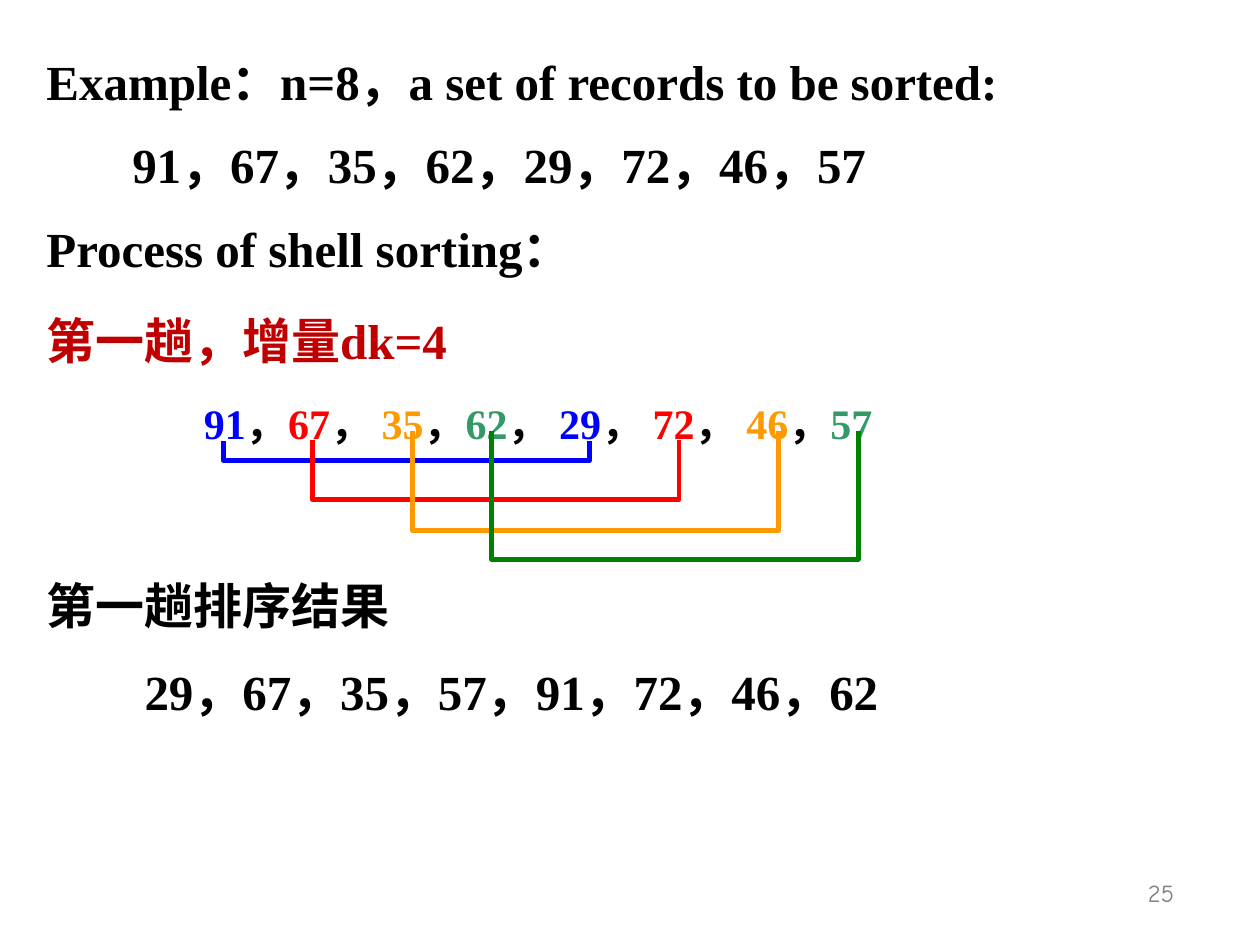
from pptx import Presentation
from pptx.dml.color import RGBColor
from pptx.enum import text
from pptx.util import Pt

COLORS = {
    "black": "000000", "heading": "C00000", "grey": "808080",
    "blue": "0000FF", "red": "FF0000", "orange": "FF9900",
    "teal": "339966", "green": "008000",
}
GROUPS = ["blue", "red", "orange", "teal"]
BODY_FONT = "Times New Roman"


def rgb(name):
    return RGBColor.from_string(COLORS[name])


def add_text_frame(slide, box):
    s = slide.shapes.add_textbox(*(Pt(v) for v in box))
    tf = s.text_frame
    tf.word_wrap = True
    return tf


def add_run(p, words, color="black", size=28, font=BODY_FONT, bold=True):
    r = p.add_run()
    r.text = words
    r.font.size, r.font.name, r.font.bold = Pt(size), font, bold
    r.font.color.rgb = rgb(color)


def add_line(tf, runs, before=14, spacing=1.0, indent=0, size=28):
    """Append one paragraph made of (words, color) runs."""
    p = tf.paragraphs[0]
    if p.runs:
        p = tf.add_paragraph()
        p.space_before = Pt(before)
    p.alignment = text.PP_ALIGN.JUSTIFY
    p.line_spacing = spacing
    if indent:
        p._p.get_or_add_pPr().set("marL", str(Pt(indent)))
    for words, color in runs:
        add_run(p, words, color, size)


def grouped_numbers():
    """Records coloured by their group, with the separators between them."""
    numbers = [91, 67, 35, 62, 29, 72, 46, 57]
    separators = ["，", "， ", "，", "， ", "， ", "， ", "，"]
    runs = []
    for i, number in enumerate(numbers):
        runs.append((str(number), GROUPS[i % len(GROUPS)]))
        if i < len(separators):
            runs.append((separators[i], "black"))
    return runs


def add_body(slide, box):
    tf = add_text_frame(slide, box)
    add_line(tf, [("Example：n=8，a set of records to be sorted:", "black")])
    add_line(tf, [("91，67，35，62，29，72，46，57", "black")], indent=49)
    add_line(tf, [("Process of shell sorting：", "black")])
    add_line(tf, [("第一趟，增量dk=4", "heading")], spacing=1.15)
    add_line(tf, grouped_numbers(), before=12, spacing=1.15, indent=90, size=24)
    add_line(tf, [("第一趟排序结果", "black")], before=68, spacing=1.15)
    add_line(tf, [("29，67，35，57，91，72，46，62", "black")],
             before=10.5, spacing=1.15, indent=56)


def add_bracket(slide, box, color):
    """Draw an open bracket along the left, bottom and right of the box."""
    x, y, w, h = box
    outline = slide.shapes.build_freeform(Pt(x), Pt(y))
    corners = [(x, y + h), (x + w, y + h), (x + w, y)]
    outline.add_line_segments([(Pt(a), Pt(b)) for a, b in corners], close=False)
    s = outline.convert_to_shape()
    s.shadow.inherit = False
    s.fill.background()
    s.line.color.rgb = rgb(color)
    s.line.width = Pt(2.75)


def add_group_brackets(slide, box):
    left, top, width, _ = box
    brackets = [("blue", 0, 5.8, 11), ("red", 51, 5.1, 34.3),
                ("orange", 108, 0, 56.8), ("green", 153.4, 0, 73.4)]
    for color, dx, dy, height in brackets:
        add_bracket(slide, (left + dx, top + dy, width, height), color)


def add_page_number(slide, box):
    tf = add_text_frame(slide, box)
    tf.vertical_anchor = text.MSO_ANCHOR.BOTTOM
    p = tf.paragraphs[0]
    p.alignment = text.PP_ALIGN.RIGHT
    add_run(p, "25", "grey", 14, "Comic Neue", bold=False)


def main():
    prs = Presentation()
    prs.slide_width, prs.slide_height = Pt(720), Pt(540)
    slide = prs.slides.add_slide(prs.slide_layouts[6])
    add_page_number(slide, (528, 486, 150, 36))
    add_body(slide, (19.5, 26, 664.5, 484.5))
    add_group_brackets(slide, (127.5, 246.2, 209.5, 73.4))
    prs.save("out.pptx")


if __name__ == "__main__":
    main()
